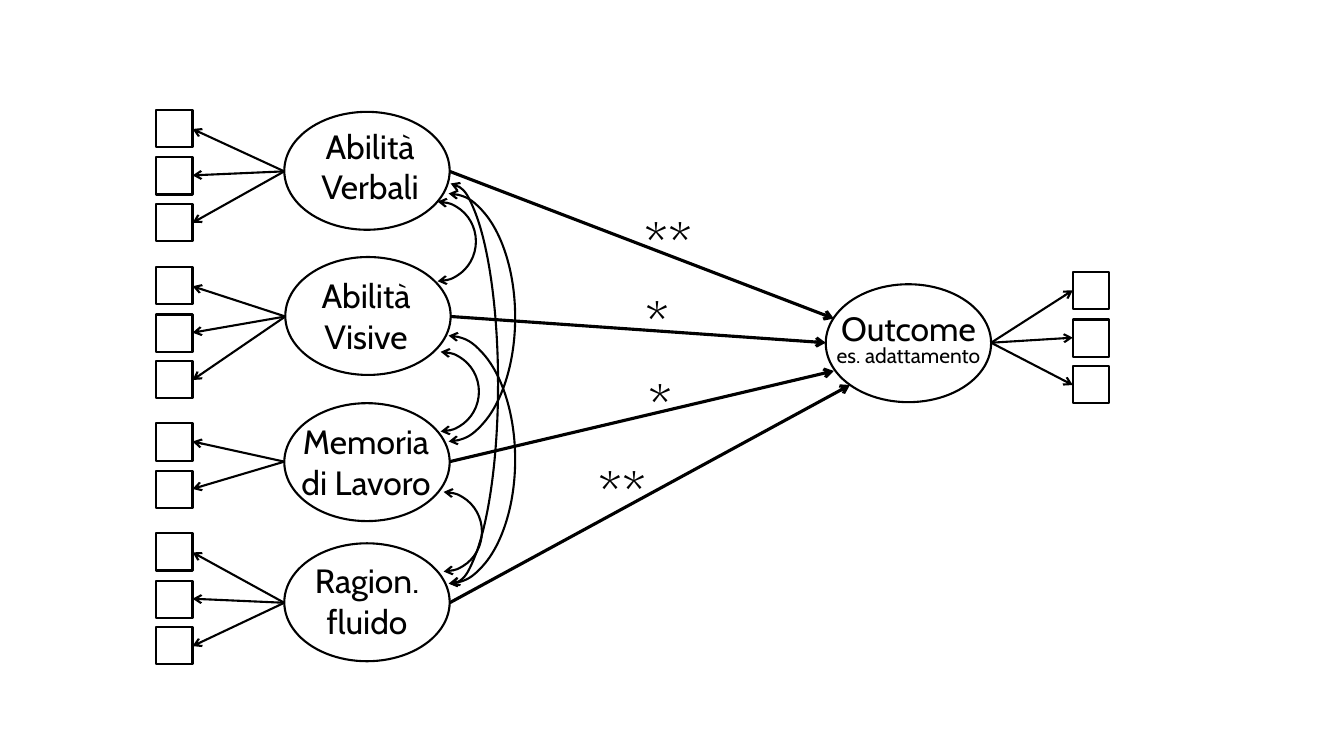
from collections import namedtuple

from lxml.etree import SubElement
from pptx import Presentation
from pptx.dml.color import RGBColor
from pptx.enum.shapes import MSO_CONNECTOR, MSO_SHAPE
from pptx.enum.text import MSO_AUTO_SIZE, PP_ALIGN
from pptx.oxml.ns import qn
from pptx.util import Emu, Pt

BLACK = RGBColor(0x00, 0x00, 0x00)
WHITE = RGBColor(0xFF, 0xFF, 0xFF)
FONT = "Cabin"
EMU_PER_PX = 9144
OVAL_WIDTH, OVAL_HEIGHT = 164, 117
SQUARE_WIDTH, SQUARE_HEIGHT = 36, 37
SQUARE_STEP = 46.7
LABEL_WIDTH = 172

Box = namedtuple("Box", "left top width height")
Factor = namedtuple("Factor", "left top text shift squares_shift squares arrow_end")

FACTORS = [
    Factor(282, 111, "Abilità Verbali", (-1, 9), -2, 3, (827, 316)),
    Factor(283, 255, "Abilità\nVisive", (-6, 13), 10, 3, (819, 340)),
    Factor(282, 400, "Memoria di Lavoro", (-5, 13), 20, 2, (827, 368)),
    Factor(282, 539, "Ragion.\nfluido", (-4, 12), -10, 3, (843, 382)),
]
OUTCOME = Box(819, 282, OVAL_WIDTH, OVAL_HEIGHT)
STARS = [("**", 577, 202), ("*", 566, 280), ("*", 569, 363), ("**", 531, 449)]
CORRELATIONS = [
    (Box(434, 200, 38, 79), 1.962),
    (Box(437, 349, 38, 79), 1.962),
    (Box(440, 488, 38, 79), 1.962),
    (Box(445, 192, 66, 246), 2.358),
    (Box(445, 333, 66, 246), 2.358),
    (Box(447, 182, 47, 398), 4.227),
]


def px(length):
    """Turn a length in px into EMU."""
    return Emu(round(length) * EMU_PER_PX)


def draw_line(line, width, ends=()):
    """Give a black line its width and arrowheads."""
    line.color.rgb = BLACK
    line.width = Pt(width)
    for end in ends:
        SubElement(line._get_or_add_ln(), qn(f"a:{end}"), type="arrow")


def add_outline(page, kind, box, fill=WHITE, ends=(), adjustment=None):
    """Add a preset shape with a thin black outline."""
    shape = page.shapes.add_shape(kind, *map(px, box))
    shape.shadow.inherit = False
    if adjustment is not None:
        shape.adjustments[0] = adjustment
    if fill is None:
        shape.fill.background()
    else:
        shape.fill.solid()
        shape.fill.fore_color.rgb = fill
    draw_line(shape.line, 1.5, ends)


def add_arrow(page, start, end, width=1.5):
    """Add a straight arrow between two points."""
    arrow = page.shapes.add_connector(
        MSO_CONNECTOR.STRAIGHT, *map(px, (*start, *end)))
    draw_line(arrow.line, width, ["tailEnd"])
    SubElement(arrow._element.spPr, qn("a:effectLst"))


def add_label(page, text, left, top, height, size=24):
    """Add a centred label, one paragraph per line of text."""
    label = page.shapes.add_textbox(*map(px, (left, top, LABEL_WIDTH, height)))
    frame = label.text_frame
    frame.word_wrap = True
    frame.auto_size = MSO_AUTO_SIZE.SHAPE_TO_FIT_TEXT
    frame.text = text
    for para in frame.paragraphs:
        para.alignment = PP_ALIGN.CENTER
        for span in para.runs:
            span.font.name = FONT
            span.font.size = Pt(size)
            span.font.color.rgb = BLACK


def add_indicators(page, start, left, top, count):
    """Add a column of squares with an arrow to each from the start point."""
    near_edge = left if left > start[0] else left + SQUARE_WIDTH
    for index in range(count):
        square_top = top + index * SQUARE_STEP
        add_outline(page, MSO_SHAPE.RECTANGLE,
                    Box(left, square_top, SQUARE_WIDTH, SQUARE_HEIGHT))
        add_arrow(page, start, (near_edge, square_top + SQUARE_HEIGHT / 2))


def add_factor(page, box, factor):
    """Add a predictor with its indicators and its path to the outcome."""
    middle = box.top + box.height / 2
    add_outline(page, MSO_SHAPE.OVAL, box)
    add_indicators(page, (box.left, middle), 155,
                   box.top + factor.squares_shift, factor.squares)
    add_arrow(page, (box.left + box.width, middle), factor.arrow_end, width=2.25)
    across, down = factor.shift
    add_label(page, factor.text, box.left + across, box.top + down, 91)


def add_outcome(page, box):
    """Add the outcome with its two labels and its indicators."""
    right = box.left + box.width
    add_outline(page, MSO_SHAPE.OVAL, box)
    add_indicators(page, (right, box.top + box.height / 2),
                   right + 81, box.top - 12, 3)
    add_label(page, "Outcome", box.left - 4, box.top + 19, 50)
    add_label(page, "es. adattamento", box.left - 4, box.top + 53, 35, size=15)


def main():
    """Build the path diagram."""
    deck = Presentation()
    deck.slide_width, deck.slide_height = px(1333), px(750)
    page = deck.slides.add_slide(deck.slide_layouts[6])
    add_outcome(page, OUTCOME)
    for factor in FACTORS:
        box = Box(factor.left, factor.top, OVAL_WIDTH, OVAL_HEIGHT)
        add_factor(page, box, factor)
    for stars, left, top in STARS:
        add_label(page, stars, left, top, 77, size=40)
    for box, adjustment in CORRELATIONS:
        add_outline(page, MSO_SHAPE.RIGHT_BRACKET, box, fill=None,
                    ends=["headEnd", "tailEnd"], adjustment=adjustment)
    deck.save("out.pptx")


if __name__ == "__main__":
    main()
